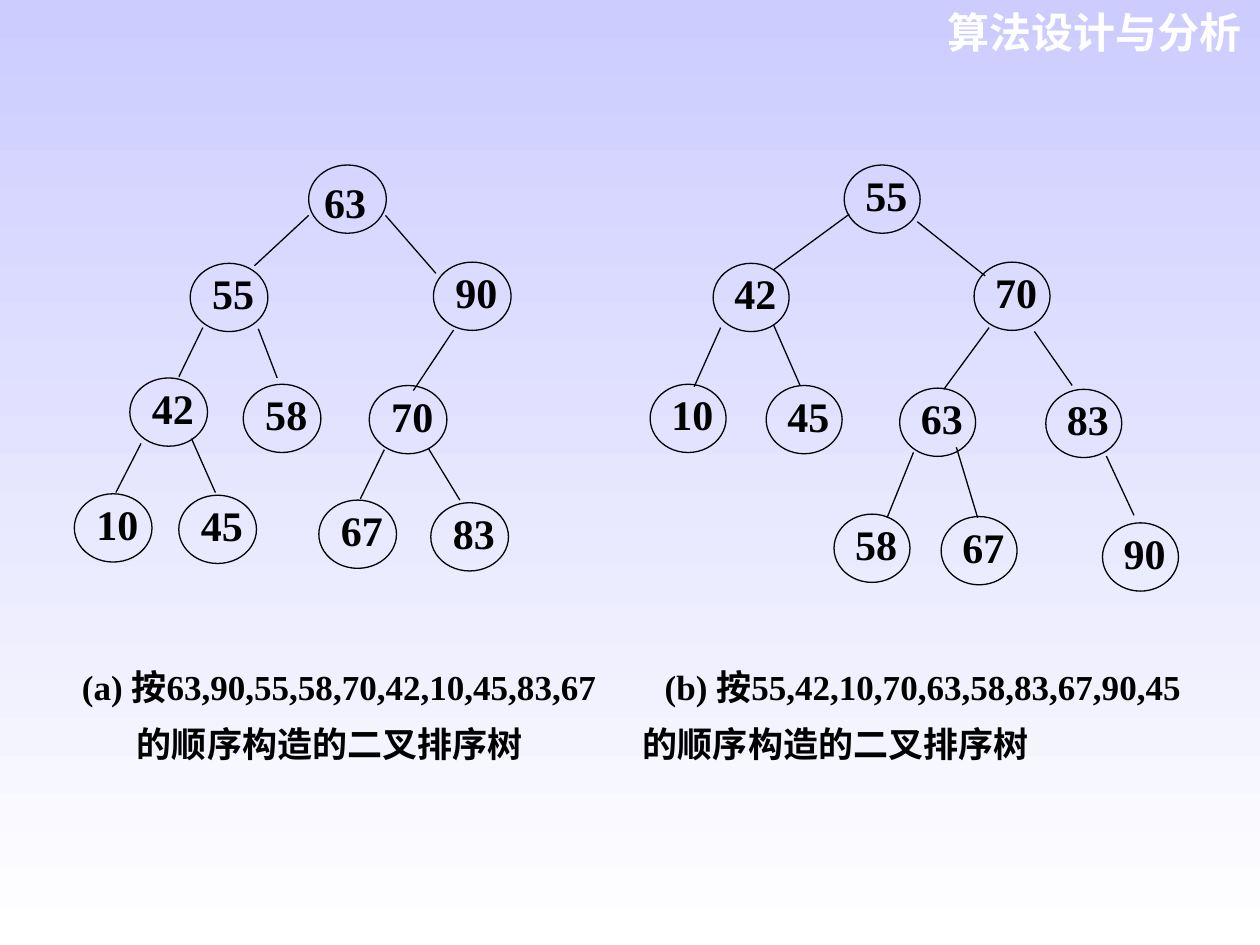
from lxml import etree
from pptx import Presentation
from pptx.dml.color import RGBColor
from pptx.enum.shapes import MSO_CONNECTOR, MSO_SHAPE
from pptx.enum.text import PP_ALIGN
from pptx.oxml.ns import qn
from pptx.util import Pt

THEME = {
    "top": RGBColor(0xCC, 0xCC, 0xFF), "bottom": RGBColor(0xFF, 0xFF, 0xFF),
    "ink": RGBColor(0, 0, 0), "header": RGBColor(0xFF, 0xFF, 0xFF),
    "header_font": "Arial", "font": "Times New Roman",
    "header_size": 24, "node_size": 24, "caption_size": 20, "line": 0.75,
}

HEADER = "算法设计与分析"
# Each caption line: text, tab stops
CAPTION = [
    ("(a) 按63,90,55,58,70,42,10,45,83,67\t(b) 按55,42,10,70,63,58,83,67,90,45", [333]),
    ("\t的顺序构造的二叉排序树\t的顺序构造的二叉排序树", [31.5, 320.6]),
]

# Each node: key, left, top, edge from its parent (x1, y1, x2, y2)
TREES = [
    {"width": 44.4, "nodes": [
        (63, 176.4, 94.3, None),
        (55, 108.7, 150.5, (176.4, 123.1, 145.4, 151.9)),
        (90, 247.7, 149.8, (220.3, 123.1, 249.1, 156.2)),
        (42, 74.2, 216, (115.9, 187.2, 102.2, 215.3)),
        (58, 139, 219.6, (147.6, 187.9, 158.4, 216)),
        (70, 211, 220.3, (259.2, 188.6, 236.2, 223.2)),
        (10, 42.5, 282.2, (80.6, 253.4, 66.2, 281.5)),
        (45, 102.2, 283, (109.4, 250.6, 123.1, 281.5)),
        (67, 182.2, 285.8, (219.6, 257, 205.9, 285.1)),
        (83, 246.2, 287.3, (244.8, 256.3, 262.8, 285.8)),
    ]},
    {"width": 43.4, "nodes": [
        (55, 482.4, 94.3, None),
        (42, 407.5, 150.5, (485.3, 122.4, 442.1, 154.1)),
        (70, 556.6, 149.8, (524.2, 126.7, 563, 157.7)),
        (10, 371.5, 219.6, (411.8, 187.2, 396.7, 221)),
        (45, 437.8, 220.3, (442.1, 185.8, 457.2, 220.3)),
        (63, 514.1, 221.8, (565.2, 187.2, 539.3, 222.5)),
        (83, 597.6, 222.5, (591.1, 189.4, 612.7, 220.3)),
        (58, 476.6, 293.8, (522, 258.5, 506.9, 295.9)),
        (67, 537.8, 295.2, (546.5, 255.6, 558.7, 295.9)),
        (90, 630, 298.8, (632.2, 260.6, 648, 294.5)),
    ]},
]
NODE_H = 39
LABEL_H = 45.4
LABEL_SHIFT = (6, -6)        # label box relative to its ellipse
FIRST_ROOT_SHIFT = (2.2, -2.2)  # the first root's label sits lower and further left


def style(p, font, size, color, align):
    p.alignment = align
    p.font.name, p.font.size, p.font.bold = font, Pt(size), True
    p.font.color.rgb = color


def add_box(slide, left, top, width, height, insets):
    tf = slide.shapes.add_textbox(Pt(left), Pt(top), Pt(width), Pt(height)).text_frame
    tf.word_wrap = True
    tf.margin_left, tf.margin_top, tf.margin_right, tf.margin_bottom = map(Pt, insets)
    return tf


def add_tabs(p, stops):
    tabs = etree.SubElement(p._p.get_or_add_pPr(), qn("a:tabLst"))
    for stop in stops:
        etree.SubElement(tabs, qn("a:tab"), pos=str(Pt(stop)), algn="l")


def add_node(slide, key, left, top, width, shift):
    tf = add_box(slide, left + shift[0], top + shift[1], width - 7.2, LABEL_H,
                 (1.4, 8.6, 1.4, 0.7))
    p = tf.paragraphs[0]
    p.text = str(key)
    style(p, THEME["font"], THEME["node_size"], THEME["ink"], PP_ALIGN.CENTER)
    sp = slide.shapes.add_shape(MSO_SHAPE.OVAL, Pt(left), Pt(top), Pt(width), Pt(NODE_H))
    sp.shadow.inherit = False
    sp.fill.background()
    sp.line.color.rgb, sp.line.width = THEME["ink"], Pt(THEME["line"])


def add_edge(slide, ends):
    cxn = slide.shapes.add_connector(MSO_CONNECTOR.STRAIGHT, *map(Pt, ends))
    cxn.line.color.rgb, cxn.line.width = THEME["ink"], Pt(THEME["line"])
    etree.SubElement(cxn._element.spPr, qn("a:effectLst"))


def main():
    prs = Presentation()
    prs.slide_width, prs.slide_height = Pt(720), Pt(540)
    slide = prs.slides.add_slide(prs.slide_layouts[6])

    # Background gradient, top to bottom
    fill = slide.background.fill
    fill.gradient()
    fill.gradient_angle = 270
    for stop, name in zip(fill.gradient_stops, ("top", "bottom")):
        stop.color.rgb = THEME[name]

    # Course header
    p = add_box(slide, 521.3, 0, 195.1, 36, (7.2, 3.6, 7.2, 3.6)).paragraphs[0]
    p.text = HEADER
    style(p, THEME["header_font"], THEME["header_size"], THEME["header"], PP_ALIGN.RIGHT)

    # Caption under both trees
    tf = add_box(slide, 42.5, 372.2, 652.3, 67.7, (4.3, 0, 4.3, 0))
    for i, (text, stops) in enumerate(CAPTION):
        p = tf.add_paragraph() if i else tf.paragraphs[0]
        p.text = text
        p.line_spacing = 1.35
        add_tabs(p, stops)
        style(p, THEME["font"], THEME["caption_size"], THEME["ink"], PP_ALIGN.JUSTIFY)

    # Search trees
    for t, tree in enumerate(TREES):
        for key, left, top, edge in tree["nodes"]:
            first_root = t == 0 and edge is None
            add_node(slide, key, left, top, tree["width"],
                     FIRST_ROOT_SHIFT if first_root else LABEL_SHIFT)
            if edge:
                add_edge(slide, edge)

    prs.save("out.pptx")


if __name__ == "__main__":
    main()
